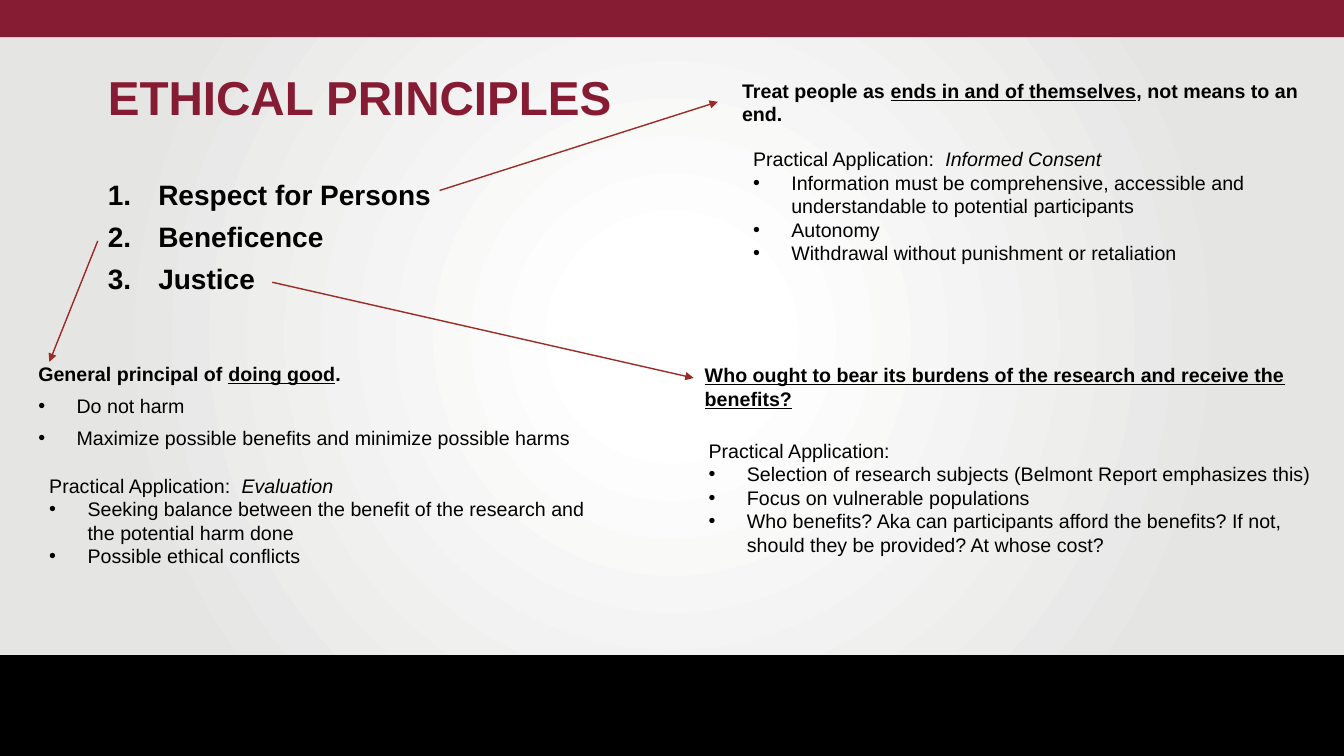
from lxml import etree
from pptx import Presentation
from pptx.dml.color import RGBColor
from pptx.enum.shapes import MSO_CONNECTOR, MSO_SHAPE
from pptx.enum.text import MSO_ANCHOR, MSO_AUTO_SIZE
from pptx.oxml import parse_xml
from pptx.oxml.ns import nsdecls, qn
from pptx.util import Inches, Pt

RECTANGLE = MSO_SHAPE.RECTANGLE
STRAIGHT = MSO_CONNECTOR.STRAIGHT
TOP = MSO_ANCHOR.TOP
GROW = MSO_AUTO_SIZE.SHAPE_TO_FIT_TEXT

MAROON = RGBColor(0x86, 0x1C, 0x33)
ARROW_RED = RGBColor(0x9B, 0x2B, 0x24)
BLACK = RGBColor(0, 0, 0)
FONT = "Arial"

# Run styles: bold, underlined, italic
PLAIN, BOLD, UNDERLINED, ITALIC = "", "b", "bu", "i"


def add_text(slide, box, paragraphs, size=14, color=BLACK, insets=(0.4, 0, 0.4, 0.05),
             space_before=0, indent=0.38):
    """Add a text box; each paragraph is (marker, runs), each run is (text, style)."""
    shape = slide.shapes.add_textbox(*map(Inches, box))
    frame = shape.text_frame
    frame.word_wrap = True
    frame.vertical_anchor = TOP
    frame.margin_left, frame.margin_top, frame.margin_right, frame.margin_bottom = map(Inches, insets)
    for index, (marker, runs) in enumerate(paragraphs):
        paragraph = frame.paragraphs[0] if index == 0 else frame.add_paragraph()
        paragraph.space_before = Pt(space_before if index else 0)
        if marker:
            properties = paragraph._p.get_or_add_pPr()
            properties.set("marL", str(Inches(indent)))
            properties.set("indent", str(-Inches(indent)))
            if marker == "•":
                etree.SubElement(properties, qn("a:buFont")).set("typeface", FONT)
                etree.SubElement(properties, qn("a:buChar")).set("char", marker)
            else:
                etree.SubElement(properties, qn("a:buAutoNum")).set("type", "arabicPeriod")
        for text, style in runs:
            run = paragraph.add_run()
            run.text = text
            run.font.name = FONT
            run.font.size = Pt(size)
            run.font.color.rgb = color
            run.font.bold = "b" in style
            run.font.underline = "u" in style
            run.font.italic = "i" in style
    return shape


presentation = Presentation()
presentation.slide_width = Inches(13.33)
presentation.slide_height = Inches(7.5)
slide = presentation.slides.add_slide(presentation.slide_layouts[6])

# Backdrop and bands
bands = [(0.12, 6.45, None), (6.5, 1, BLACK), (0, 0.37, MAROON)]
for top, height, color in bands:
    band = slide.shapes.add_shape(RECTANGLE, 0, Inches(top), Inches(13.33), Inches(height))
    band.shadow.inherit = False
    band.line.fill.background()
    if color is not None:
        band.fill.solid()
        band.fill.fore_color.rgb = color
    else:
        band._element.spPr.find(qn("a:prstGeom")).addnext(parse_xml(
            f'<a:gradFill {nsdecls("a")} rotWithShape="1"><a:gsLst>'
            '<a:gs pos="12000"><a:srgbClr val="FFFFFF"/></a:gs>'
            '<a:gs pos="77000"><a:srgbClr val="E5E5E4"/></a:gs></a:gsLst>'
            '<a:path path="circle"><a:fillToRect l="50000" t="50000" r="50000" b="50000"/>'
            '</a:path></a:gradFill>'))

# Title and the three principles
add_text(slide, (0.67, 0.69, 11.5, 0.71), [("", [("ETHICAL PRINCIPLES", BOLD)])],
         size=34, color=MAROON, insets=(0.4, 0.05, 0.4, 0.05)
         ).text_frame.paragraphs[0].line_spacing = 0.9
principles = ["Respect for Persons", "Beneficence", "Justice"]
add_text(slide, (0.67, 1.76, 4.67, 1.35), [("1.", [(name, BOLD)]) for name in principles],
         size=20, space_before=6, indent=0.5)

# Meaning of each principle
meanings = [
    ((-0.02, 3.59, 6.4, 1.05),
     [("General principal of ", BOLD), ("doing good", UNDERLINED), (".", BOLD)],
     ["Do not harm", "Maximize possible benefits and minimize possible harms"]),
    ((6.96, 0.78, 6.37, 0.62),
     [("Treat people as ", BOLD), ("ends in and of themselves", UNDERLINED),
      (", not means to an end.", BOLD)], []),
    ((6.59, 3.6, 6.74, 0.71),
     [("Who ought to bear its burdens of the research and receive the benefits?", UNDERLINED)], []),
]
for box, heading, points in meanings:
    add_text(slide, box, [("", heading)] + [("•", [(point, PLAIN)]) for point in points],
             space_before=6)

# Practical applications
applications = [
    ((7.37, 1.41, 5.91, 1.28), [("Practical Application:  ", PLAIN), ("Informed Consent", ITALIC)],
     ["Information must be comprehensive, accessible and understandable to potential participants",
      "Autonomy", "Withdrawal without punishment or retaliation"]),
    ((0.39, 4.65, 5.73, 1.04), [("Practical Application:  ", PLAIN), ("Evaluation", ITALIC)],
     ["Seeking balance between the benefit of the research and the potential harm done",
      "Possible ethical conflicts"]),
    ((6.93, 4.3, 6.4, 1.28), [("Practical Application:", PLAIN)],
     ["Selection of research subjects (Belmont Report emphasizes this)",
      "Focus on vulnerable populations",
      "Who benefits? Aka can participants afford the benefits? If not, "
      "should they be provided? At whose cost?"]),
]
for box, heading, points in applications:
    shape = add_text(slide, box, [("", heading)] + [("•", [(point, PLAIN)]) for point in points],
                     insets=(0.1, 0.05, 0.1, 0.05))
    shape.text_frame.auto_size = GROW

# Arrows from principles to meanings
arrows = [(0.97, 2.39, 0.49, 3.59), (4.36, 1.89, 7.12, 1.01), (2.7, 2.8, 6.88, 3.75)]
for ends in arrows:
    arrow = slide.shapes.add_connector(STRAIGHT, *map(Inches, ends))
    arrow.line.color.rgb = ARROW_RED
    arrow.line.width = Pt(1)
    etree.SubElement(arrow.line._get_or_add_ln(), qn("a:tailEnd")).set("type", "triangle")
    etree.SubElement(arrow._element.spPr, qn("a:effectLst"))

presentation.save("out.pptx")
